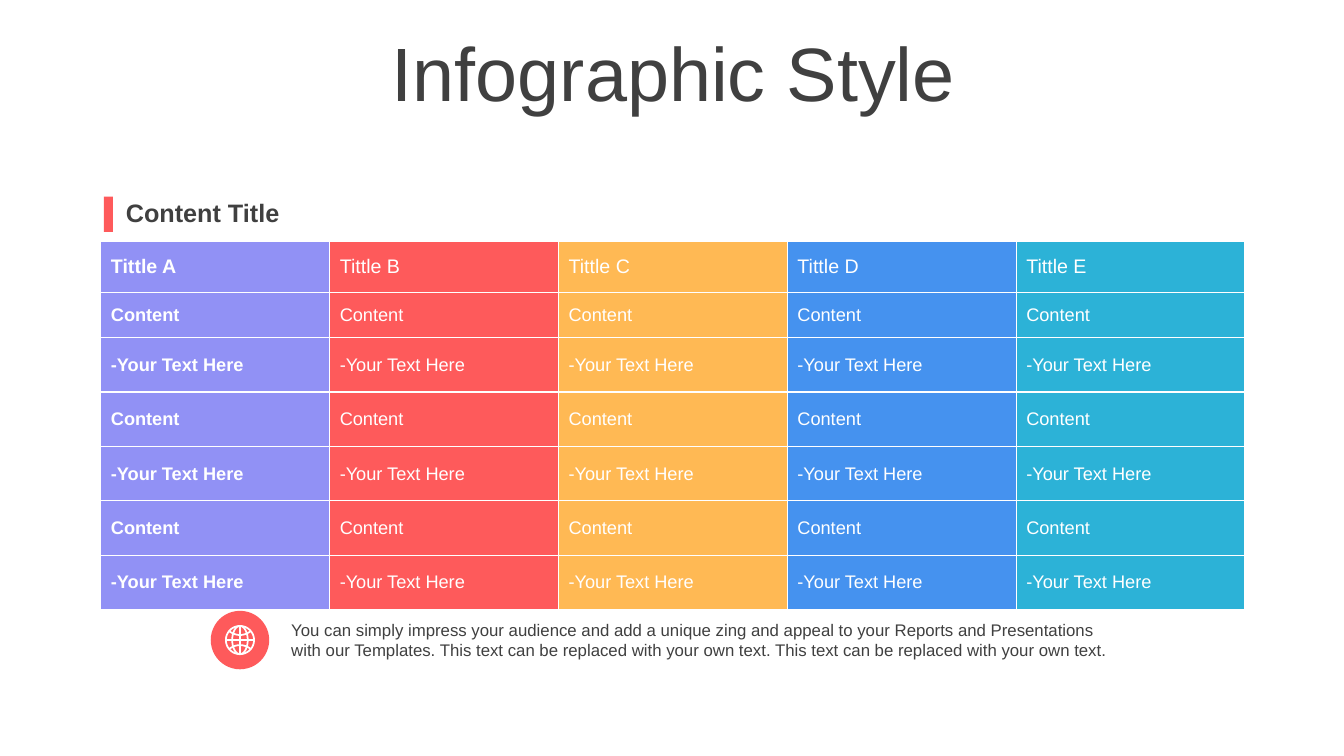
from math import cos, pi, sin

from lxml.etree import SubElement
from pptx import Presentation
from pptx.dml.color import RGBColor
from pptx.enum.shapes import MSO_SHAPE as SHAPE
from pptx.enum.text import MSO_ANCHOR as ANCHOR, MSO_AUTO_SIZE as AUTO, PP_ALIGN as ALIGN
from pptx.oxml.ns import qn
from pptx.util import Inches, Pt

TITLE = "Infographic Style"
HEADING = "Content Title"
FOOTER = ("You can simply impress your audience and add a unique zing and appeal to your "
          "Reports and Presentations with our Templates. This text can be replaced with "
          "your own text. This text can be replaced with your own text.")
COLUMNS = [("Tittle A", "9191F5"), ("Tittle B", "FE5A5B"), ("Tittle C", "FFB954"),
           ("Tittle D", "4592EF"), ("Tittle E", "2CB2D7")]
BODY_ROWS = ["Content", "-Your Text Here"] * 3
ROW_HEIGHTS = [0.51, 0.45] + [0.54] * 5
COL_WIDTH = 2.27
TABLE_LEFT, TABLE_TOP = 1, 2.39
DARK, WHITE, ACCENT = "404040", "FFFFFF", "FE5A5B"
BADGE_CENTER, BADGE_SIZE = (2.38, 6.35), 0.58
GLOBE_RADIUS = 0.14


def rgb(color):
    return RGBColor.from_string(color)


def place(sp, left, top, width, height):
    box = {"left": left, "top": top, "width": width, "height": height}
    for name, value in box.items():
        setattr(sp, name, Inches(value))


def write(tf, text, size, color=DARK, bold=False):
    p = tf.paragraphs[0]
    r = p.add_run()
    r.text = text
    for name, value in {"name": "Arial", "size": Pt(size), "bold": bold}.items():
        setattr(r.font, name, value)
    r.font.color.rgb = rgb(color)
    return p


def add_text(text, box, size, **style):
    tf = s.shapes.add_textbox(*map(Inches, box)).text_frame
    tf.word_wrap = True
    write(tf, text, size, **style)
    return tf


def add_accent(shape, *box):
    sp = s.shapes.add_shape(shape, *map(Inches, box))
    sp.shadow.inherit = False
    sp.fill.solid()
    sp.fill.fore_color.rgb = rgb(ACCENT)
    sp.line.fill.background()


def fill_cell(cell, text, size, color, bold):
    cell.vertical_anchor = ANCHOR.MIDDLE
    write(cell.text_frame, text, size, WHITE, bold)
    tc_pr = cell._tc.get_or_add_tcPr()
    for side in ("lnL", "lnR", "lnT", "lnB"):
        ln = SubElement(tc_pr, qn(f"a:{side}"), w=str(Pt(1)))
        SubElement(SubElement(ln, qn("a:solidFill")), qn("a:srgbClr"), val=WHITE)
    cell.fill.solid()
    cell.fill.fore_color.rgb = rgb(color)


def oval(rx, ry, steps=48):
    return [(rx * cos(2 * pi * i / steps), ry * sin(2 * pi * i / steps))
            for i in range(steps + 1)]


def parallel(side, half_width=0.11, steps=12):
    """Points of a latitude line that bows towards the equator."""
    shares = [2 * i / steps - 1 for i in range(steps + 1)]
    return [(half_width * t, side * (0.05 + 0.04 * t * t)) for t in shares]


def add_globe(cx, cy, radius):
    strokes = [oval(radius, radius), oval(0.55 * radius, radius),
               [(-radius, 0), (radius, 0)], [(0, -radius), (0, radius)],
               parallel(-1), parallel(1)]
    builder = None
    for stroke in strokes:
        start, *rest = [(Inches(cx + x), Inches(cy + y)) for x, y in stroke]
        if builder is None:
            builder = s.shapes.build_freeform(*start)
        else:
            builder.move_to(*start)
        builder.add_line_segments(rest, close=False)
    sp = builder.convert_to_shape()
    sp.shadow.inherit = False
    sp.fill.background()
    sp.line.color.rgb = rgb(WHITE)
    sp.line.width = Pt(1.25)


prs = Presentation()
prs.slide_width, prs.slide_height = Inches(13.33), Inches(7.5)
s = prs.slides.add_slide(prs.slide_layouts[5])

title = s.shapes.title
place(title, 0.35, 0.37, 12.66, 0.79)
tf = title.text_frame
tf.auto_size, tf.vertical_anchor = AUTO.NONE, ANCHOR.MIDDLE
p = write(tf, TITLE, 54)
p.alignment, p.line_spacing = ALIGN.CENTER, 0.9

table = s.shapes.add_table(
    len(ROW_HEIGHTS), len(COLUMNS), Inches(TABLE_LEFT), Inches(TABLE_TOP),
    Inches(COL_WIDTH * len(COLUMNS)), Inches(sum(ROW_HEIGHTS))).table
table.first_row = table.horz_banding = False
for row, height in zip(table.rows, ROW_HEIGHTS):
    row.height = Inches(height)
for c, (head, color) in enumerate(COLUMNS):
    table.columns[c].width = Inches(COL_WIDTH)
    for r, text in enumerate([head] + BODY_ROWS):
        fill_cell(table.cell(r, c), text, 13 if r else 14, color, bold=c == 0)

add_text(FOOTER, (2.79, 6.1, 8.38, 0.5), 12)
add_accent(SHAPE.RECTANGLE, 1.03, 1.95, 0.09, 0.35)
heading = add_text(HEADING, (1.15, 1.91, 2.21, 0.4), 18, bold=True)
heading.vertical_anchor = ANCHOR.MIDDLE

badge_left, badge_top = (center - BADGE_SIZE / 2 for center in BADGE_CENTER)
add_accent(SHAPE.OVAL, badge_left, badge_top, BADGE_SIZE, BADGE_SIZE)
add_globe(*BADGE_CENTER, GLOBE_RADIUS)

prs.save("out.pptx")
